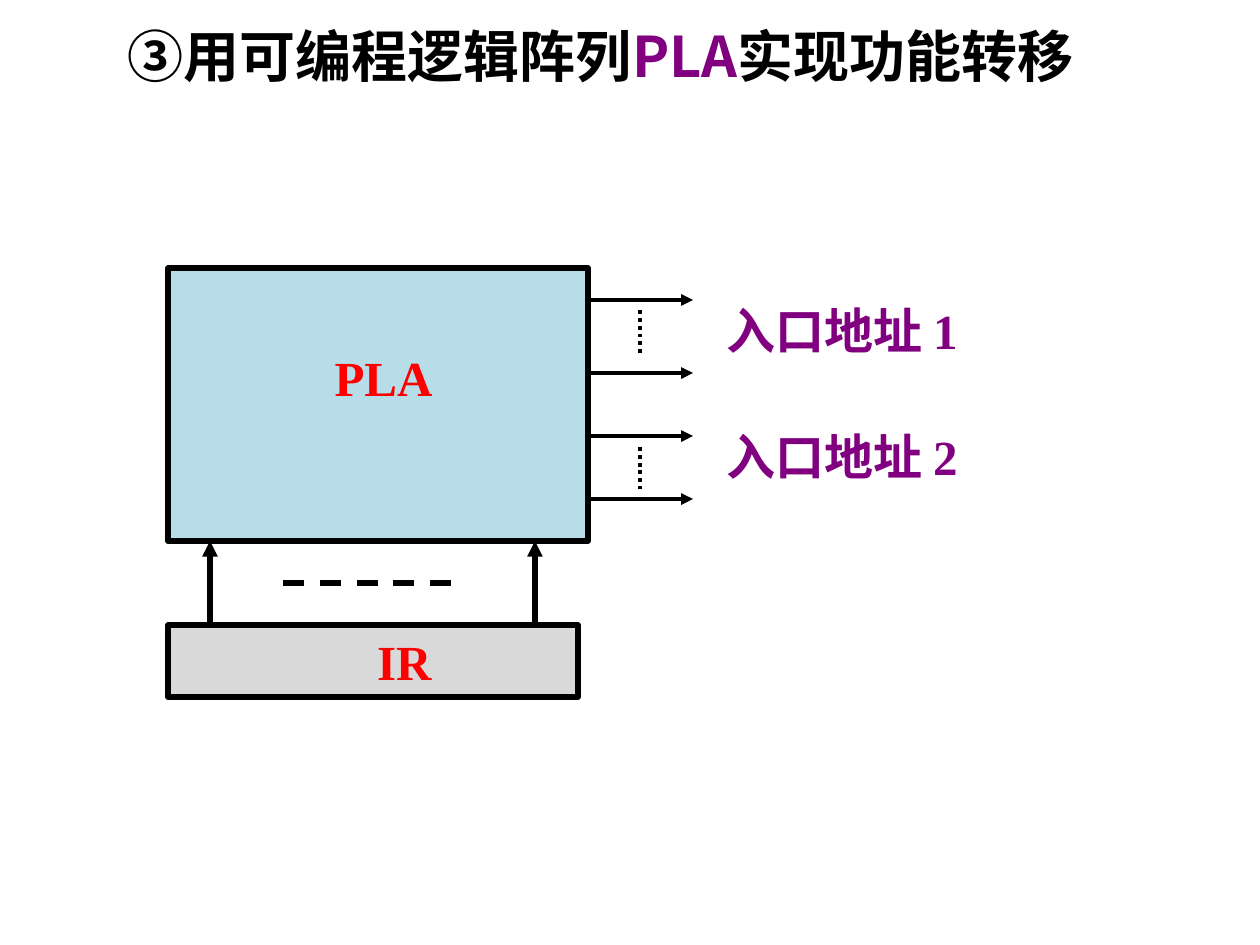
from lxml.etree import SubElement
from pptx import Presentation
from pptx.dml.color import RGBColor
from pptx.enum.dml import MSO_LINE
from pptx.enum.shapes import MSO_CONNECTOR, MSO_SHAPE
from pptx.enum.text import MSO_ANCHOR, MSO_AUTO_SIZE, PP_ALIGN
from pptx.oxml.ns import qn
from pptx.util import Emu, Pt

# Content, lengths in px
COLORS = {"black": "000000", "purple": "800080", "red": "FF0000",
          "blue": "B7DEE8", "gray": "D9D9D9"}
SANS, SERIF = "Noto Sans CJK SC", "Times New Roman"
TITLE = [("③用可编程逻辑阵列", "black"), ("PLA", "purple"), ("实现功能转移", "black")]
TITLE_BOX = (115, 34, 1081, 60)
PLA_BOX = (168, 268, 420, 273)
PLA_LABEL = (273, 341, 221, 72)
IR_BOX = (168, 625, 410, 72)
IR_INDENT = 75
# Label, label top, y of its two output arrows, span of the dots between them
OUTPUTS = [("入口地址 1", 310, (300, 373), (310, 353)),
           ("入口地址 2", 436, (436, 499), (447, 489))]
LABEL_LEFT, LABEL_WIDTH, LABEL_HEIGHT = 714, 546, 54
ARROW_END, DOTS_X = 693, 640
INPUTS_X = (210, 535)
INPUT_DASHES = (283, 451)


def px(value):
    return Emu(round(value * 914400 / 126))


def color(name):
    return RGBColor.from_string(COLORS[name])


def write(shape, spans, size=28, font=SERIF, align=PP_ALIGN.LEFT,
          spacing=1.0, indent=None):
    frame = shape.text_frame
    frame.word_wrap = True
    frame.auto_size = MSO_AUTO_SIZE.NONE
    frame.vertical_anchor = MSO_ANCHOR.TOP
    if indent:
        frame.margin_left = px(indent)
    para = frame.paragraphs[0]
    para.alignment = align
    para.line_spacing = spacing
    para.space_before = Pt(0)
    for text, tint in spans:
        span = para.add_run()
        span.text = text
        span.font.size = Pt(size)
        span.font.bold = True
        span.font.name = font
        span.font.color.rgb = color(tint)
        SubElement(span.font._element, qn("a:ea"), typeface=SANS)


def add_box(page, place, fill, outlined=True):
    box = page.shapes.add_shape(MSO_SHAPE.RECTANGLE, *map(px, place))
    box.shadow.inherit = False
    box.fill.solid()
    box.fill.fore_color.rgb = color(fill)
    if outlined:
        box.line.color.rgb = color("black")
        box.line.width = Pt(3)
    else:
        box.line.fill.background()
    return box


def add_line(page, start, end, width=2.25, dash=None, arrow=False):
    line = page.shapes.add_connector(MSO_CONNECTOR.STRAIGHT, *map(px, start + end))
    line.line.color.rgb = color("black")
    line.line.width = Pt(width)
    if dash:
        line.line.dash_style = dash
    if arrow:
        SubElement(line.line._get_or_add_ln(), qn("a:tailEnd"), type="triangle")
    SubElement(line._element.spPr, qn("a:effectLst"))


def main():
    deck = Presentation()
    deck.slide_width, deck.slide_height = px(1260), px(945)
    page = deck.slides.add_slide(deck.slide_layouts[5])

    # Title
    title = page.shapes.title
    title.left, title.top, title.width, title.height = map(px, TITLE_BOX)
    write(title, TITLE, size=32, font=SANS, spacing=0.7)

    # Logic array and instruction register
    left, top, width, height = PLA_BOX
    right, bottom = left + width, top + height
    add_box(page, PLA_BOX, "blue")
    label = add_box(page, PLA_LABEL, "blue", outlined=False)
    write(label, [("PLA", "red")], align=PP_ALIGN.CENTER)
    register = add_box(page, IR_BOX, "gray")
    write(register, [("IR", "red")], align=PP_ALIGN.CENTER, indent=IR_INDENT)

    # Inputs from the register
    register_top = IR_BOX[1]
    for x in INPUTS_X:
        add_line(page, (x, register_top), (x, bottom), width=3, arrow=True)
    middle = (bottom + register_top) / 2
    add_line(page, (INPUT_DASHES[0], middle), (INPUT_DASHES[1], middle),
             width=3, dash=MSO_LINE.DASH)

    # Outputs to the entry addresses
    for text, label_top, arrows, (dots_top, dots_bottom) in OUTPUTS:
        for y in arrows:
            add_line(page, (right, y), (ARROW_END, y), arrow=True)
        add_line(page, (DOTS_X, dots_top), (DOTS_X, dots_bottom),
                 dash=MSO_LINE.ROUND_DOT)
        address = page.shapes.add_textbox(
            *map(px, (LABEL_LEFT, label_top, LABEL_WIDTH, LABEL_HEIGHT)))
        write(address, [(text, "purple")], spacing=0.7)

    deck.save("out.pptx")


if __name__ == "__main__":
    main()
